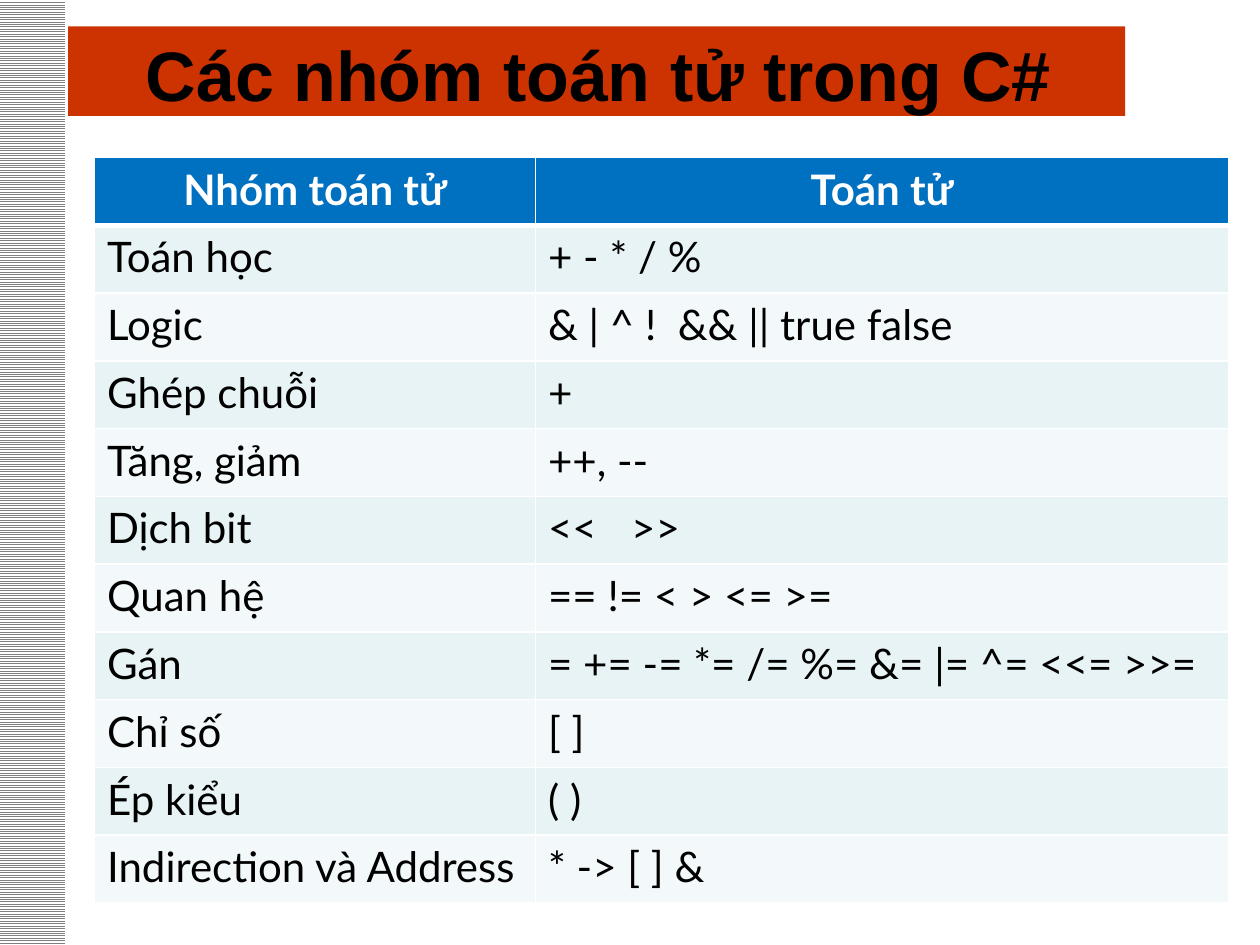
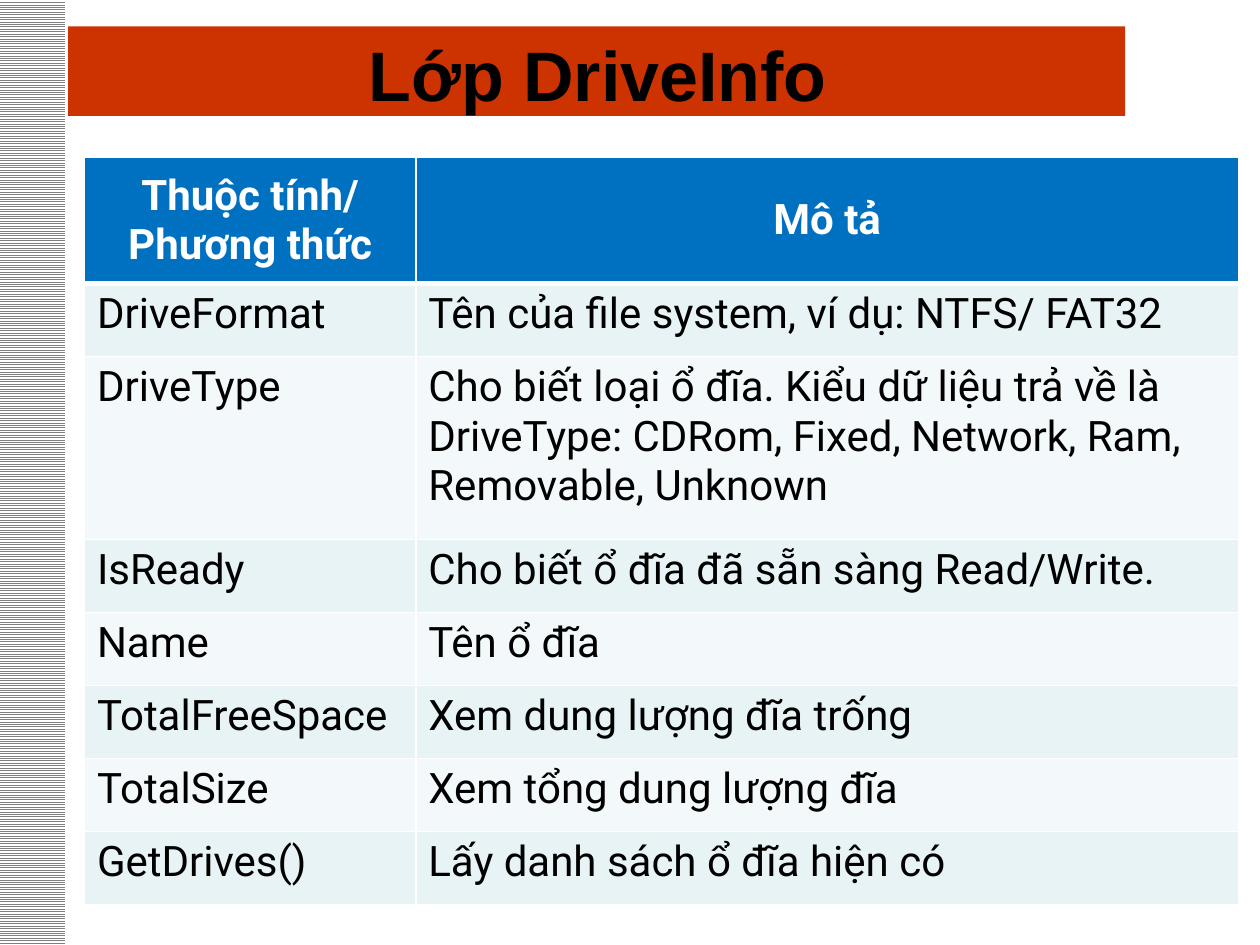
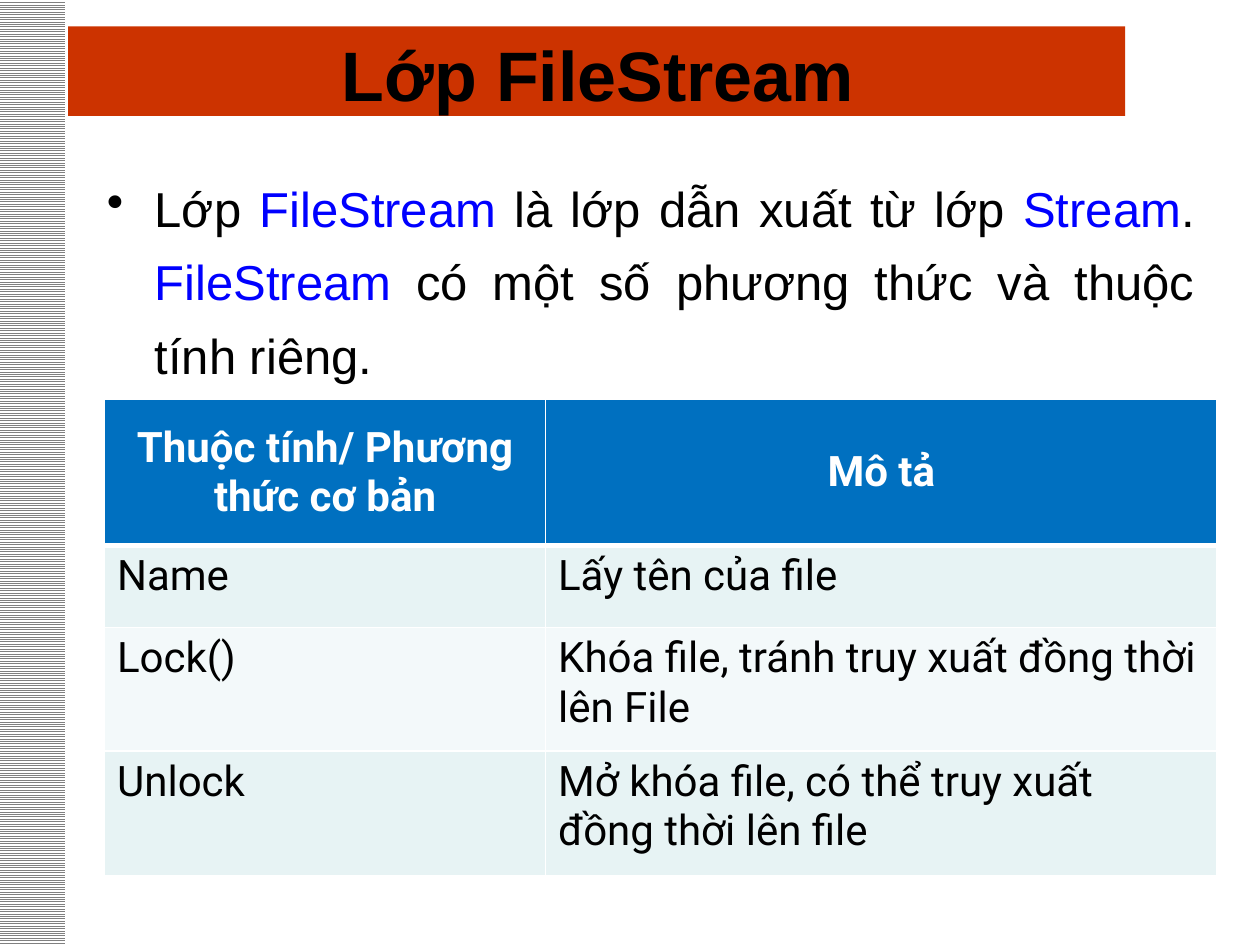
from dataclasses import dataclass

from lxml.etree import SubElement
from pptx import Presentation
from pptx.dml.color import RGBColor
from pptx.enum.dml import MSO_PATTERN
from pptx.enum.shapes import MSO_SHAPE
from pptx.enum.text import MSO_ANCHOR as ANCHOR, PP_ALIGN as ALIGN
from pptx.oxml import parse_xml
from pptx.oxml.ns import nsdecls, qn
from pptx.util import Inches, Pt


@dataclass(frozen=True)
class Theme:
    """Colours, fonts and type sizes of the deck."""

    band: str = "CC3300"
    stripe: str = "808080"
    paper: str = "FFFFFF"
    ink: str = "000000"
    keyword: str = "0000FF"
    header: str = "0070C0"
    rows: tuple = ("E7F3F4", "F3F9FA")
    font: str = "Arial"
    operator_font: str = "Lato"
    class_font: str = "Roboto"
    title_size: int = 40
    body_size: int = 28
    cell_size: int = 24
    border: int = 1
    header_border: int = 3


THEME = Theme()
WIDE_TITLE = (0.5, 0.18, 8.5, 0.74)
CLASS_TITLE = (0.58, 0.17, 8.33, 0.75)

OPERATORS = [
    ("Nhóm toán tử", "Toán tử"),
    ("Toán học", "+ - * / %"),
    ("Logic", "& | ^ !\t&& || true false"),
    ("Ghép chuỗi", "+"),
    ("Tăng, giảm", "++, --"),
    ("Dịch bit", "<<\t>>"),
    ("Quan hệ", "== != < > <= >="),
    ("Gán", "= += -= *= /= %= &= |= ^= <<= >>="),
    ("Chỉ số", "[ ]"),
    ("Ép kiểu", "( )"),
    ("Indirection và Address", "* -> [ ] &"),
]
OPERATOR_TABS = {2: 1.03, 5: 0.66}

DRIVE_INFO = [
    ("Thuộc tính/ Phương thức", "Mô tả"),
    ("DriveFormat", "Tên của file system, ví dụ: NTFS/ FAT32"),
    ("DriveType", "Cho biết loại ổ đĩa. Kiểu dữ liệu trả về là DriveType: "
                  "CDRom, Fixed, Network, Ram, Removable, Unknown"),
    ("IsReady", "Cho biết ổ đĩa đã sẵn sàng Read/Write."),
    ("Name", "Tên ổ đĩa"),
    ("TotalFreeSpace", "Xem dung lượng đĩa trống"),
    ("TotalSize", "Xem tổng dung lượng đĩa"),
    ("GetDrives()", "Lấy danh sách ổ đĩa hiện có"),
]

FILE_STREAM = [
    ("Thuộc tính/ Phương thức cơ bản", "Mô tả"),
    ("Name", "Lấy tên của file"),
    ("Lock()", "Khóa file, tránh truy xuất đồng thời lên File"),
    ("Unlock", "Mở khóa file, có thể truy xuất\nđồng thời lên file"),
]

FILE_STREAM_INTRO = [
    ("Lớp ", THEME.ink),
    ("FileStream", THEME.keyword),
    (" là lớp dẫn xuất từ lớp ", THEME.ink),
    ("Stream", THEME.keyword),
    (". ", THEME.ink),
    ("FileStream", THEME.keyword),
    (" có một số phương thức và thuộc tính riêng.", THEME.ink),
]


def rgb(color):
    """Turn a hex string into a colour."""
    return RGBColor.from_string(color)


def add_text(paragraph, text, *, size, font=THEME.font, color=THEME.ink, bold=False):
    """Append a formatted run to a paragraph."""
    run = paragraph.add_run()
    run.text = text
    run.font.name = font
    run.font.size = Pt(size)
    run.font.bold = bold
    run.font.color.rgb = rgb(color)


def add_band(slide, box):
    """Draw a borderless rectangle and return its fill."""
    band = slide.shapes.add_shape(MSO_SHAPE.RECTANGLE, *map(Inches, box))
    band.shadow.inherit = False
    band.line.fill.background()
    return band.fill


def add_frame(slide, prs):
    """Draw the title band and the striped left margin."""
    title_fill = add_band(slide, (0.54, 0.21, 8.39, 0.71))
    title_fill.solid()
    title_fill.fore_color.rgb = rgb(THEME.band)
    margin_fill = add_band(slide, (0, 0, 0.52, prs.slide_height.inches))
    margin_fill.patterned()
    margin_fill.pattern = MSO_PATTERN.LIGHT_HORIZONTAL
    margin_fill.fore_color.rgb = rgb(THEME.stripe)
    margin_fill.back_color.rgb = rgb(THEME.paper)


def add_title(slide, box, text):
    """Write the centred slide title at the foot of its box."""
    frame = slide.shapes.add_textbox(*map(Inches, box)).text_frame
    frame.word_wrap = True
    frame.margin_top = frame.margin_bottom = 0
    frame.vertical_anchor = ANCHOR.BOTTOM
    heading = frame.paragraphs[0]
    heading.alignment = ALIGN.CENTER
    add_text(heading, text, size=THEME.title_size, bold=True)


def add_intro(slide, box, parts):
    """Write one justified bullet made of coloured parts."""
    frame = slide.shapes.add_textbox(*map(Inches, box)).text_frame
    frame.word_wrap = True
    bullet = frame.paragraphs[0]
    properties = bullet._p.get_or_add_pPr()
    properties.set("marL", str(Inches(0.38)))
    properties.set("indent", str(-Inches(0.38)))
    SubElement(properties, qn("a:buChar"), char="•")
    bullet.alignment = ALIGN.JUSTIFY
    bullet.line_spacing = 1.25
    bullet.space_after = Pt(3)
    for text, color in parts:
        add_text(bullet, text, size=THEME.body_size, color=color)


def set_borders(cell, row):
    """Give a cell white borders, heavier below the header."""
    heavy_side = {0: "B", 1: "T"}.get(row)
    properties = cell._tc.get_or_add_tcPr()
    for position, side in enumerate("LRTB"):
        width = THEME.header_border if side == heavy_side else THEME.border
        properties.insert(position, parse_xml(
            f'<a:ln{side} {nsdecls("a")} w="{Pt(width)}"><a:solidFill>'
            f'<a:srgbClr val="{THEME.paper}"/></a:solidFill></a:ln{side}>'))


def fill_cell(cell, row, text, *, font, header_anchor, tab):
    """Format one table cell and write its lines."""
    is_header = row == 0
    cell.fill.solid()
    cell.fill.fore_color.rgb = rgb(THEME.header if is_header else THEME.rows[(row - 1) % 2])
    cell.vertical_anchor = header_anchor if is_header else ANCHOR.TOP
    set_borders(cell, row)
    frame = cell.text_frame
    for index, line in enumerate(text.split("\n")):
        paragraph = frame.add_paragraph() if index else frame.paragraphs[0]
        if "\t" in line:
            stops = SubElement(paragraph._p.get_or_add_pPr(), qn("a:tabLst"))
            SubElement(stops, qn("a:tab"), pos=str(Inches(tab)), algn="l")
        paragraph.alignment = ALIGN.CENTER if is_header else ALIGN.LEFT
        add_text(paragraph, line, size=THEME.cell_size, font=font, bold=is_header,
                 color=THEME.paper if is_header else THEME.ink)


def add_member_table(slide, box, rows, first_width, *, heights=None,
                     font=THEME.class_font, header_anchor=ANCHOR.MIDDLE, tabs=None):
    """Place a two-column table with a header and banded rows."""
    left, top, width, height = box
    heights = heights or [height / len(rows)] * len(rows)
    table = slide.shapes.add_table(len(rows), 2, *map(Inches, box)).table
    table.horz_banding = False
    for column, column_width in zip(table.columns, (first_width, width - first_width)):
        column.width = Inches(column_width)
    for row, (texts, row_height) in enumerate(zip(rows, heights)):
        table.rows[row].height = Inches(row_height)
        for column, text in enumerate(texts):
            fill_cell(table.cell(row, column), row, text, font=font,
                      header_anchor=header_anchor, tab=(tabs or {}).get(row))


def add_slide(prs, title, title_box=CLASS_TITLE):
    """Start a slide with the shared frame and its title."""
    slide = prs.slides.add_slide(prs.slide_layouts[6])
    add_frame(slide, prs)
    add_title(slide, title_box, title)
    return slide


def main():
    """Build the deck."""
    prs = Presentation()
    prs.slide_width, prs.slide_height = Inches(10), Inches(7.5)

    operators = add_slide(prs, "Các nhóm toán tử trong C#", WIDE_TITLE)
    add_member_table(operators, (0.75, 1.25, 9, 5.92), OPERATORS, 3.5,
                     font=THEME.operator_font, header_anchor=ANCHOR.TOP,
                     tabs=OPERATOR_TABS)

    drive_info = add_slide(prs, "Lớp DriveInfo")
    add_member_table(drive_info, (0.67, 1.25, 9.16, 5.92), DRIVE_INFO, 2.63,
                     heights=[1, 0.58, 1.45] + [0.58] * 5)

    file_stream = add_slide(prs, "Lớp FileStream")
    add_intro(file_stream, (0.75, 1.25, 8.83, 5.7), FILE_STREAM_INTRO)
    add_member_table(file_stream, (0.83, 3.17, 8.83, 3.78), FILE_STREAM, 3.5,
                     heights=[1.16, 0.65, 0.98, 0.99])

    prs.save("out.pptx")


if __name__ == "__main__":
    main()
